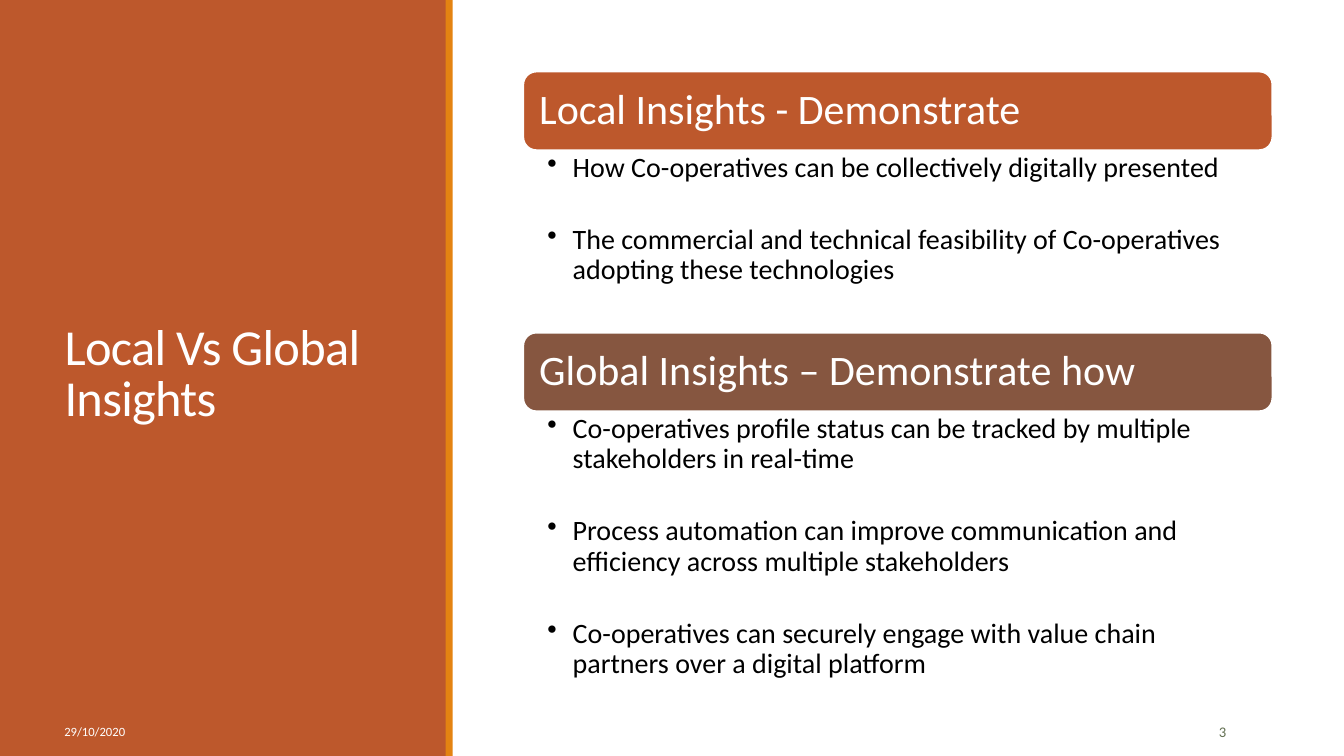
import pptx
import pptx.dml.color
import pptx.enum.shapes
import pptx.enum.text
import pptx.util
from lxml import etree

Inches = pptx.util.Inches
Pt = pptx.util.Pt
RGBColor = pptx.dml.color.RGBColor
Shape = pptx.enum.shapes.MSO_SHAPE
Anchor = pptx.enum.text.MSO_ANCHOR
Align = pptx.enum.text.PP_ALIGN

RUST = RGBColor(0xBD, 0x58, 0x2C)
ORANGE = RGBColor(0xE4, 0x83, 0x12)
BROWN = RGBColor(0x86, 0x56, 0x40)
OLIVE = RGBColor(0x63, 0x70, 0x52)
WHITE = RGBColor(0xFF, 0xFF, 0xFF)
BLACK = RGBColor(0, 0, 0)

SECTION_LEFT, SECTION_WIDTH, HEADER_HEIGHT = 5.19, 7.43, 0.78
SECTIONS = [
    (0.71, RUST, "Local Insights - Demonstrate", 1.8, [
        "How Co-operatives can be collectively digitally presented",
        "The commercial and technical feasibility of Co-operatives adopting these technologies",
    ]),
    (3.3, BROWN, "Global Insights – Demonstrate how", 2.78, [
        "Co-operatives profile status can be tracked by multiple stakeholders in real-time",
        "Process automation can improve communication and efficiency across multiple stakeholders",
        "Co-operatives can securely engage with value chain partners over a digital platform",
    ]),
]


def write(paragraph, text, *, size, color, align=Align.LEFT, line=1.0,
          after=0, tracking=None, bullet=None):
    """Fill one paragraph with formatted text."""
    paragraph.alignment = align
    paragraph.line_spacing = line
    paragraph.space_before = Pt(0)
    paragraph.space_after = Pt(after)
    run = paragraph.add_run()
    run.text = text
    run.font.name = "Calibri"
    run.font.size = Pt(size)
    run.font.color.rgb = color
    if tracking is not None:
        run.font._element.set("spc", str(int(tracking * 100)))
    if bullet:
        properties = paragraph._p.get_or_add_pPr()
        properties.set("marL", str(Inches(0.25)))
        properties.set("indent", str(Inches(-0.25)))
        mark = etree.SubElement(properties, pptx.oxml.ns.qn("a:buChar"))
        mark.set("char", bullet)


class SlideBuilder:
    def __init__(self, slide):
        self.slide = slide

    def frame(self, shape, anchor, insets=(0.1, 0.05, 0.1, 0.05)):
        frame = shape.text_frame
        frame.word_wrap = True
        frame.auto_size = pptx.enum.text.MSO_AUTO_SIZE.NONE
        frame.vertical_anchor = anchor
        (frame.margin_left, frame.margin_top,
         frame.margin_right, frame.margin_bottom) = map(Inches, insets)
        return frame

    def block(self, box, color, kind=Shape.RECTANGLE, outline=None):
        block = self.slide.shapes.add_shape(kind, *map(Inches, box))
        block.shadow.inherit = False
        block.fill.solid()
        block.fill.fore_color.rgb = color
        if outline is None:
            block.line.fill.background()
        else:
            block.line.color.rgb = outline
            block.line.width = Pt(1.25)
        return block

    def title(self, box, text, **style):
        title = self.slide.shapes.title
        title.left, title.top, title.width, title.height = map(Inches, box)
        write(self.frame(title, Anchor.MIDDLE).paragraphs[0], text, **style)
        # Bring the title in front of the side panel
        title.element.getparent().append(title.element)

    def label(self, box, text, **style):
        label = self.slide.shapes.add_textbox(*map(Inches, box))
        write(self.frame(label, Anchor.MIDDLE).paragraphs[0], text, **style)

    def header(self, box, text, color):
        header = self.block(box, color, Shape.ROUNDED_RECTANGLE, WHITE)
        frame = self.frame(header, Anchor.MIDDLE, (0.12, 0.12, 0.12, 0.12))
        write(frame.paragraphs[0], text, size=30, color=WHITE, line=0.9)

    def bullets(self, box, points):
        body = self.slide.shapes.add_textbox(*map(Inches, box))
        frame = self.frame(body, Anchor.TOP, (0.24, 0.03, 0.16, 0.03))
        for index, point in enumerate(points):
            paragraph = frame.add_paragraph() if index else frame.paragraphs[0]
            write(paragraph, point, size=20, color=BLACK, line=0.9,
                  after=30, bullet="•")


def main():
    deck = pptx.Presentation()
    deck.slide_width = Inches(13.33)
    deck.slide_height = Inches(7.5)
    builder = SlideBuilder(deck.slides.add_slide(deck.slide_layouts[5]))

    # Side panel with title and date
    builder.block((0, 0, 4.43, 7.5), RUST)
    builder.block((4.42, 0, 0.07, 7.5), ORANGE)
    builder.title((0.54, 0.57, 3.37, 6.31), "Local Vs Global Insights",
                  size=36, color=WHITE, line=0.85, tracking=-0.5)
    builder.label((0.54, 7.06, 1.9, 0.4), "29/10/2020", size=9, color=WHITE)

    # Insight sections
    for top, color, heading, body_height, points in SECTIONS:
        builder.header((SECTION_LEFT, top, SECTION_WIDTH, HEADER_HEIGHT), heading, color)
        builder.bullets((SECTION_LEFT, top + HEADER_HEIGHT, SECTION_WIDTH, body_height), points)

    # Slide number
    builder.label((11.07, 7.06, 1.19, 0.4), "3", size=10.5, color=OLIVE,
                  align=Align.RIGHT)

    deck.save("out.pptx")


if __name__ == "__main__":
    main()
